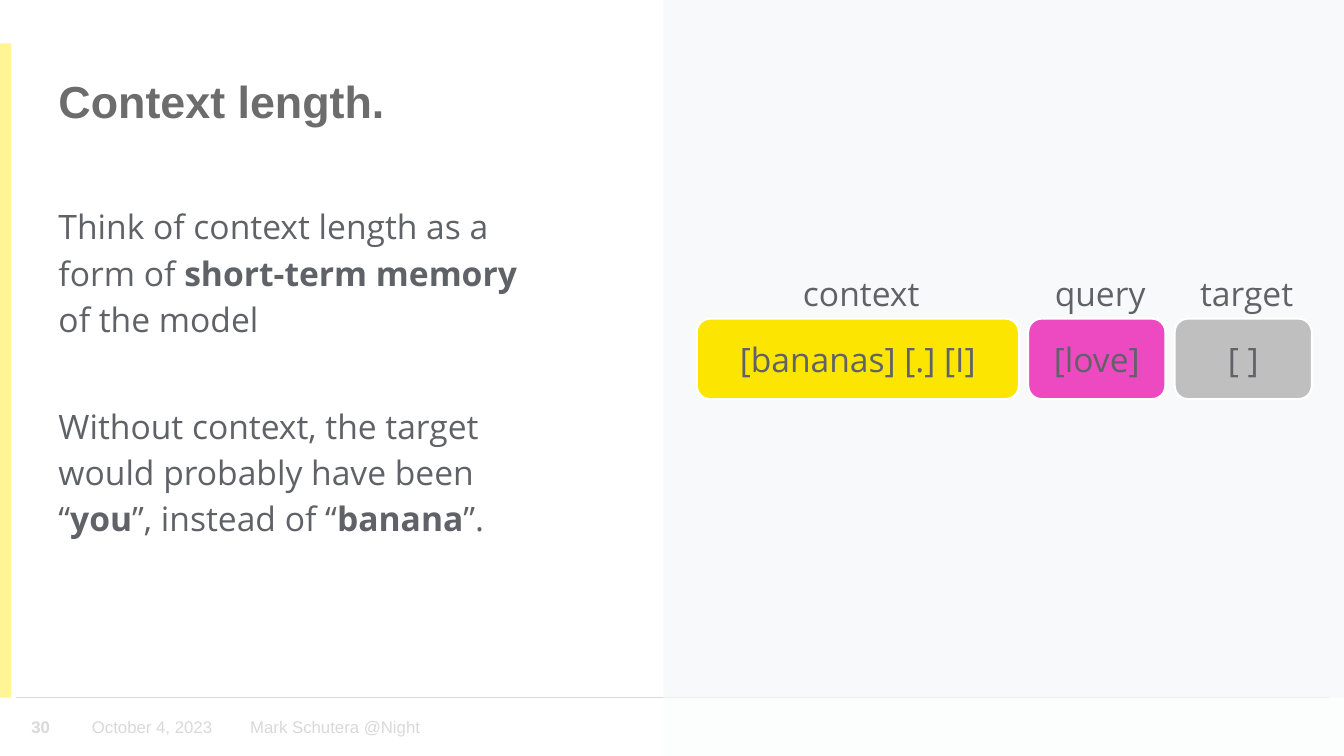
from dataclasses import dataclass

from lxml import etree
from pptx import Presentation
from pptx.dml.color import RGBColor
from pptx.enum.shapes import MSO_CONNECTOR, MSO_SHAPE
from pptx.enum.text import MSO_ANCHOR, PP_ALIGN
from pptx.oxml.ns import qn
from pptx.util import Inches, Pt

RECT, ROUND = MSO_SHAPE.RECTANGLE, MSO_SHAPE.ROUNDED_RECTANGLE
LINE = MSO_CONNECTOR.STRAIGHT
TOP, MID, BASE = MSO_ANCHOR.TOP, MSO_ANCHOR.MIDDLE, MSO_ANCHOR.BOTTOM
LEFT, MIDST = PP_ALIGN.LEFT, PP_ALIGN.CENTER
WIDE, HIGH = Inches(13.33), Inches(7.5)


@dataclass(frozen=True)
class Theme:
    head: str = "Arial"
    text: str = "Open Sans"
    big: int = 32
    main: int = 24
    small: int = 12
    ink: str = "5F6368"
    title: str = "6C6C6C"
    faint: str = "D9D9D9"
    panel: str = "F8F9FA"
    strip: str = "FFF597"
    edge: str = "FFFFFF"
    yellow: str = "FCE500"
    pink: str = "ED4AC2"
    gray: str = "BFBFBF"


T = Theme()


def col(share):
    return int(WIDE * share / 100)


def row(share):
    return int(HIGH * share / 100)


def place(box):
    x, y, w, h = box
    return col(x), row(y), col(w), row(h)


def style(para, face, size, color, bold=None):
    font = para.font
    font.name, font.size, font.bold = face, Pt(size), bold
    font.color.rgb = RGBColor.from_string(color)


def block(slide, kind, box, color, edge=None):
    shape = slide.shapes.add_shape(kind, *place(box))
    shape.shadow.inherit = False
    shape.fill.solid()
    shape.fill.fore_color.rgb = RGBColor.from_string(color)
    if edge:
        shape.line.color.rgb = RGBColor.from_string(edge)
        shape.line.width = Pt(1.5)
    else:
        shape.line.fill.background()
    return shape


def setup(frame, anchor):
    frame.word_wrap = True
    frame.vertical_anchor = anchor
    frame.margin_left = frame.margin_right = 0
    frame.margin_top = frame.margin_bottom = 0
    return frame


def label(slide, box, text, face, size, color, bold=None, anchor=MID, align=LEFT):
    frame = setup(slide.shapes.add_textbox(*place(box)).text_frame, anchor)
    para = frame.paragraphs[0]
    para.text, para.alignment = text, align
    style(para, face, size, color, bold)
    return para


def frame_parts(slide, split, foot):
    top = 5.73
    rule = slide.shapes.add_connector(LINE, col(1.2), row(foot), col(98.87), row(foot))
    rule.line.color.rgb = RGBColor.from_string(T.faint)
    rule.line.width = Pt(1)
    etree.SubElement(rule._element.spPr, qn("a:effectLst"))
    block(slide, RECT, (split, 0, 100 - split, foot), T.panel)
    block(slide, RECT, (0, top, 0.83, foot - top), T.strip)
    band = block(slide, RECT, (split, foot, 100 - split, 100 - foot), T.panel)
    tint = band._element.spPr.find(qn("a:solidFill"))[0]
    etree.SubElement(tint, qn("a:alpha"), val="30000")


def footer(slide, box):
    x, y, w, h = box
    parts = (
        (0, 8, "30", True),
        (9.8, 25, "October 4, 2023", None),
        (35.4, 64.6, "Mark Schutera @Night", None),
    )
    for start, span, text, bold in parts:
        spot = (x + w * start / 100, y, w * span / 100, h)
        label(slide, spot, text, T.head, T.small, T.faint, bold)


def story(slide, box):
    x, y, w, h = box
    head = label(slide, (x, y, w, h * 0.13), "Context length.",
                 T.head, T.big, T.title, True, BASE)
    head.line_spacing = 0.9
    spot = (x, y + h * 0.24, w * 0.8, h * 0.74)
    frame = setup(slide.shapes.add_textbox(*place(spot)).text_frame, TOP)
    texts = (
        (("Think of context length as a form of ", False),
         ("short-term memory", True), (" of the model", False)),
        (("Without context, the target would probably have been “", False),
         ("you", True), ("”, instead of “", False),
         ("banana", True), ("”.", False)),
    )
    for i, runs in enumerate(texts):
        para = frame.add_paragraph() if i else frame.paragraphs[0]
        para.line_spacing = 1.15
        if i:
            para.space_before = Pt(43)
        style(para, T.text, T.main, T.ink)
        for text, bold in runs:
            run = para.add_run()
            run.text, run.font.bold = text, bold


def tokens(slide, box):
    x, y, w, h = box
    gap = w * 0.015
    unit = (w - 2 * gap) / 100
    cap = h * 0.385
    nudge = 0.25
    cells = (
        (54, "context", "[bananas] [.] [I]", T.yellow),
        (23, "query", "[love]", T.pink),
        (23, "target", "[ ]", T.gray),
    )
    for share, name, text, color in cells:
        span = unit * share
        cell = block(slide, ROUND, (x, y + cap, span, h - cap), color, T.edge)
        para = setup(cell.text_frame, MID).paragraphs[0]
        para.text, para.alignment = text, MIDST
        style(para, T.text, T.main, T.ink)
        label(slide, (x + nudge, y, span, cap), name,
              T.text, T.main, T.ink, align=MIDST)
        x += span + gap


def main():
    deck = Presentation()
    deck.slide_width, deck.slide_height = WIDE, HIGH
    slide = deck.slides.add_slide(deck.slide_layouts[6])
    split, foot = 49.36, 92.27
    frame_parts(slide, split, foot)
    footer(slide, (2.33, foot, 46, 100 - foot))
    story(slide, (4.35, 5.73, 43.5, 86.5))
    tokens(slide, (51.84, 35.47, 45.77, 17.33))
    deck.save("out.pptx")


if __name__ == "__main__":
    main()
